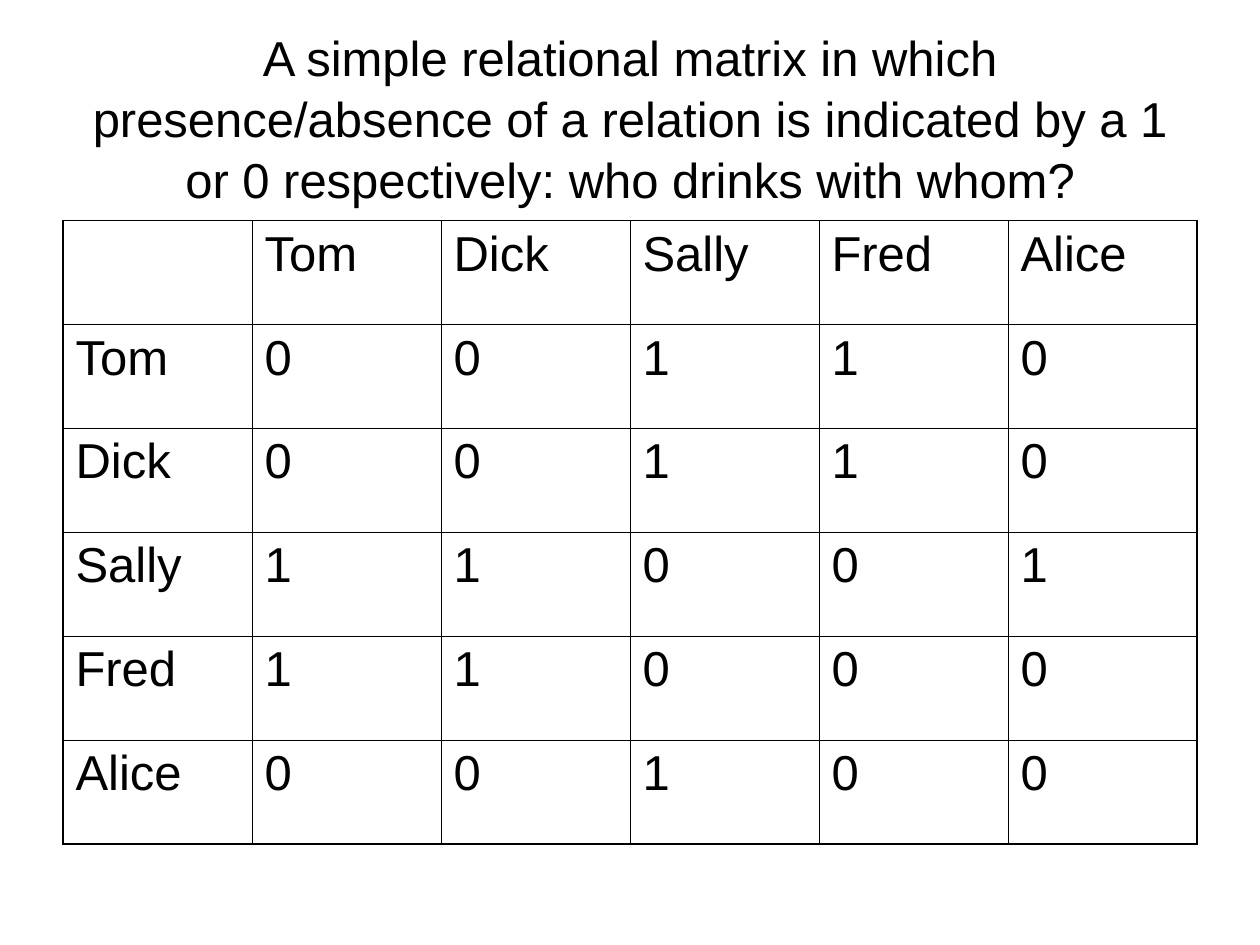
from dataclasses import dataclass

from lxml import etree
from pptx import Presentation
from pptx import util as u
from pptx.dml.color import RGBColor
from pptx.enum import text
from pptx.oxml.ns import qn

COLOURS = {"ink": "000000", "page": "FFFFFF"}
FONT = "Arial"
SIZE = 28
THIN = 0.45
THICK = 1.08
NAMES = ["Tom", "Dick", "Sally", "Fred", "Alice"]
DRINKS_WITH = ["00110", "00110", "11001", "11000", "00100"]
TITLE = (
    "A simple relational matrix in which presence/absence of a relation "
    "is indicated by a 1 or 0 respectively: who drinks with whom?"
)


@dataclass
class Border:
    side: str
    outer: bool


def style_paragraph(paragraph) -> None:
    paragraph.font.size = u.Pt(SIZE)
    for span in paragraph.runs:
        span.font.name = FONT
        span.font.size = u.Pt(SIZE)
        span.font.color.rgb = RGBColor.from_string(COLOURS["ink"])


def draw_border(cell, border: Border) -> None:
    properties = cell._tc.get_or_add_tcPr()
    width = u.Pt(THICK if border.outer else THIN)
    line = etree.SubElement(properties, qn(f"a:ln{border.side}"), w=str(int(width)))
    fill = etree.SubElement(line, qn("a:solidFill"))
    etree.SubElement(fill, qn("a:srgbClr"), val=COLOURS["ink"])


def draw_title(page) -> None:
    box = page.shapes.add_textbox(u.Inches(0.5), u.Inches(0.3), u.Inches(9), u.Inches(1.25))
    frame = box.text_frame
    frame.word_wrap = True
    frame.vertical_anchor = text.MSO_ANCHOR.MIDDLE
    frame.text = TITLE
    para = frame.paragraphs[0]
    para.alignment = text.PP_ALIGN.CENTER
    para.line_spacing = 1.04
    style_paragraph(para)


def draw_matrix(page) -> None:
    rows = [["", *NAMES]] + [[name, *links] for name, links in zip(NAMES, DRINKS_WITH)]
    last = len(NAMES)
    table = page.shapes.add_table(
        len(rows), len(rows[0]), u.Inches(0.5), u.Inches(1.75), u.Inches(9), u.Inches(4.95)
    ).table
    table.first_row = False
    table.horz_banding = False
    for row, values in enumerate(rows):
        for column, value in enumerate(values):
            cell = table.cell(row, column)
            cell.text_frame.text = value
            style_paragraph(cell.text_frame.paragraphs[0])
            for border in (
                Border("L", column == 0),
                Border("R", column == last),
                Border("T", row == 0),
                Border("B", row == last),
            ):
                draw_border(cell, border)
            cell.fill.background()


def main() -> None:
    deck = Presentation()
    deck.slide_width = u.Inches(10)
    deck.slide_height = u.Inches(7.5)
    page = deck.slides.add_slide(deck.slide_layouts[6])
    page.background.fill.solid()
    page.background.fill.fore_color.rgb = RGBColor.from_string(COLOURS["page"])
    draw_title(page)
    draw_matrix(page)
    deck.save("out.pptx")


if __name__ == "__main__":
    main()
